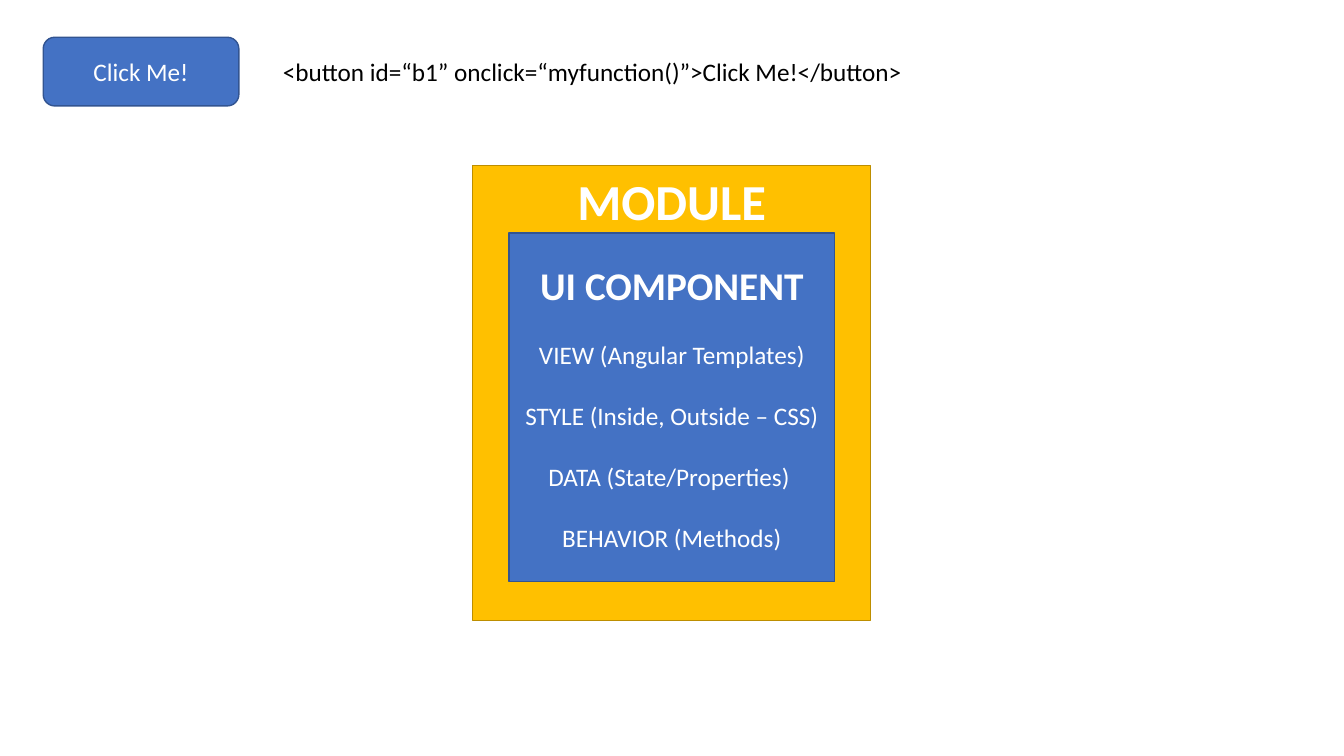
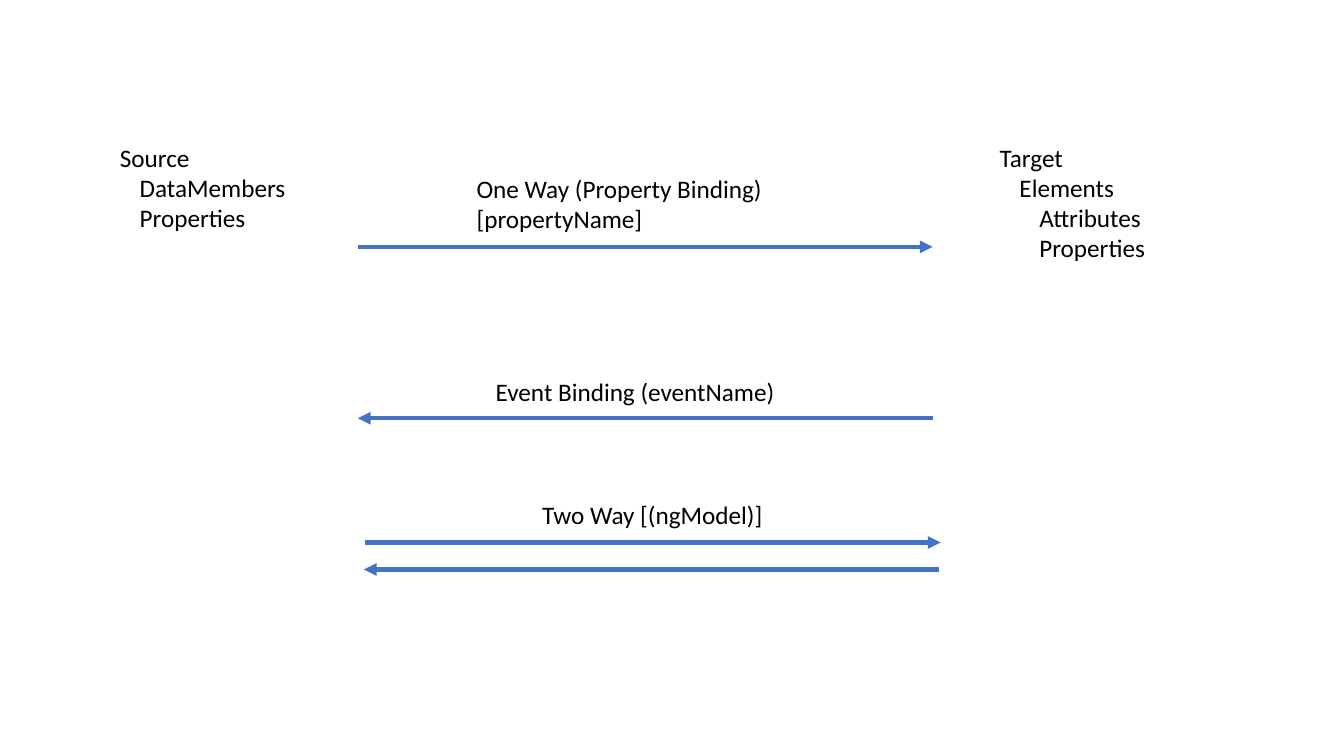
import pptx
import pptx.dml.color
import pptx.enum.shapes
import pptx.enum.text
import pptx.oxml
import pptx.oxml.ns
import pptx.util
from pptx.util import Cm

RGBColor = pptx.dml.color.RGBColor
Shapes = pptx.enum.shapes.MSO_SHAPE
Align = pptx.enum.text.PP_ALIGN
Anchor = pptx.enum.text.MSO_ANCHOR

BLUE = RGBColor(0x44, 0x72, 0xC4)
DARK_BLUE = RGBColor(0x32, 0x54, 0x91)
GOLD = RGBColor(0xFF, 0xC0, 0x00)
DARK_GOLD = RGBColor(0xBD, 0x8E, 0x00)
WHITE = RGBColor(0xFF, 0xFF, 0xFF)
BLACK = RGBColor(0x00, 0x00, 0x00)


class Deck:
    """Holds the shared style and the slide being drawn."""

    font = "Calibri"
    body_size = 18
    line_gap = 22
    indent = 0.5
    arrow_width = 3

    def __init__(self):
        self.presentation = pptx.Presentation()
        self.presentation.slide_width = pptx.util.Inches(13.333)
        self.presentation.slide_height = pptx.util.Inches(7.5)
        self.slide = None

    def new_slide(self):
        blank_layout = self.presentation.slide_layouts[6]
        self.slide = self.presentation.slides.add_slide(blank_layout)

    def add_lines(self, frame, lines, color, align=Align.LEFT, gap=0):
        """Each line is a text with optional format: size, bold, level."""
        for number, (text, style) in enumerate(lines):
            paragraph = frame.add_paragraph() if number else frame.paragraphs[0]
            paragraph.alignment = align
            paragraph.space_before = pptx.util.Pt(gap if number else 0)
            level = style.get("level", 0)
            if level:
                properties = paragraph._p.get_or_add_pPr()
                properties.set("marL", str(Cm(self.indent * level)))
                properties.set("indent", "0")
            run = paragraph.add_run()
            run.text = text
            formats = {
                "name": self.font,
                "size": pptx.util.Pt(style.get("size", self.body_size)),
                "bold": style.get("bold", False),
            }
            for name, value in formats.items():
                setattr(run.font, name, value)
            run.font.color.rgb = color

    def box(self, kind, left, top, width, height, fill, outline, lines,
            anchor=Anchor.MIDDLE, gap=0):
        shape = self.slide.shapes.add_shape(
            kind, Cm(left), Cm(top), Cm(width), Cm(height))
        shape.shadow.inherit = False
        shape.fill.solid()
        shape.fill.fore_color.rgb = fill
        shape.line.color.rgb = outline
        shape.line.width = pptx.util.Pt(1)
        shape.text_frame.vertical_anchor = anchor
        self.add_lines(shape.text_frame, lines, WHITE, Align.CENTER, gap)

    def label(self, left, top, width, height, *lines):
        shape = self.slide.shapes.add_textbox(
            Cm(left), Cm(top), Cm(width), Cm(height))
        shape.text_frame.word_wrap = False
        styled = [(text, {"level": level}) for text, level in lines]
        self.add_lines(shape.text_frame, styled, BLACK)

    def arrow(self, start, end, top):
        connector = self.slide.shapes.add_connector(
            pptx.enum.shapes.MSO_CONNECTOR.STRAIGHT,
            Cm(start), Cm(top), Cm(end), Cm(top))
        connector.line.color.rgb = BLUE
        connector.line.width = pptx.util.Pt(self.arrow_width)
        head = pptx.oxml.parse_xml(
            f'<a:tailEnd {pptx.oxml.ns.nsdecls("a")} type="triangle"/>')
        connector.line._get_or_add_ln().append(head)
        no_effects = pptx.oxml.parse_xml(
            f'<a:effectLst {pptx.oxml.ns.nsdecls("a")}/>')
        connector._element.spPr.append(no_effects)


def component_slide(deck):
    deck.new_slide()

    # Button and its markup
    deck.box(Shapes.ROUNDED_RECTANGLE, 1.09, 0.94, 4.93, 1.73,
             BLUE, DARK_BLUE, [("Click Me!", {})])
    deck.label(6.88, 1.3, 16.33, 1.02,
               ("<button id=“b1” onclick=“myfunction()”>Click Me!</button>", 0))

    # Module with the component inside
    deck.box(Shapes.RECTANGLE, 11.91, 4.17, 10.03, 11.46, GOLD, DARK_GOLD,
             [("MODULE", {"size": 36, "bold": True})], anchor=Anchor.TOP)
    parts = ["VIEW (Angular Templates)", "STYLE (Inside, Outside – CSS)",
             "DATA (State/Properties) ", "BEHAVIOR (Methods)"]
    heading = ("UI COMPONENT", {"size": 28, "bold": True})
    deck.box(Shapes.RECTANGLE, 12.83, 5.87, 8.2, 8.79, BLUE, DARK_BLUE,
             [heading] + [(part, {}) for part in parts], gap=deck.line_gap)


def binding_slide(deck):
    deck.new_slide()

    # Both ends of the binding
    deck.label(2.77, 3.45, 4.72, 2.57,
               ("Source", 0), ("DataMembers", 1), ("Properties", 1))
    deck.label(24.94, 3.45, 4.22, 3.33,
               ("Target", 0), ("Elements", 1),
               ("Attributes", 2), ("Properties", 2))

    # Kinds of binding
    deck.label(11.76, 4.24, 7.77, 1.8,
               ("One Way (Property Binding)", 0), ("[propertyName]", 0))
    deck.label(12.24, 9.37, 7.62, 1.02, ("Event Binding (eventName)", 0))
    deck.label(13.41, 12.45, 6.12, 1.02, ("Two Way [(ngModel)]", 0))

    # Directions of data flow
    for start, end, top in [(9.02, 23.5, 6.22), (23.5, 9.02, 10.54),
                            (9.2, 23.7, 13.67), (23.67, 9.17, 14.35)]:
        deck.arrow(start, end, top)


def main():
    deck = Deck()
    component_slide(deck)
    binding_slide(deck)
    deck.presentation.save("out.pptx")


if __name__ == "__main__":
    main()
